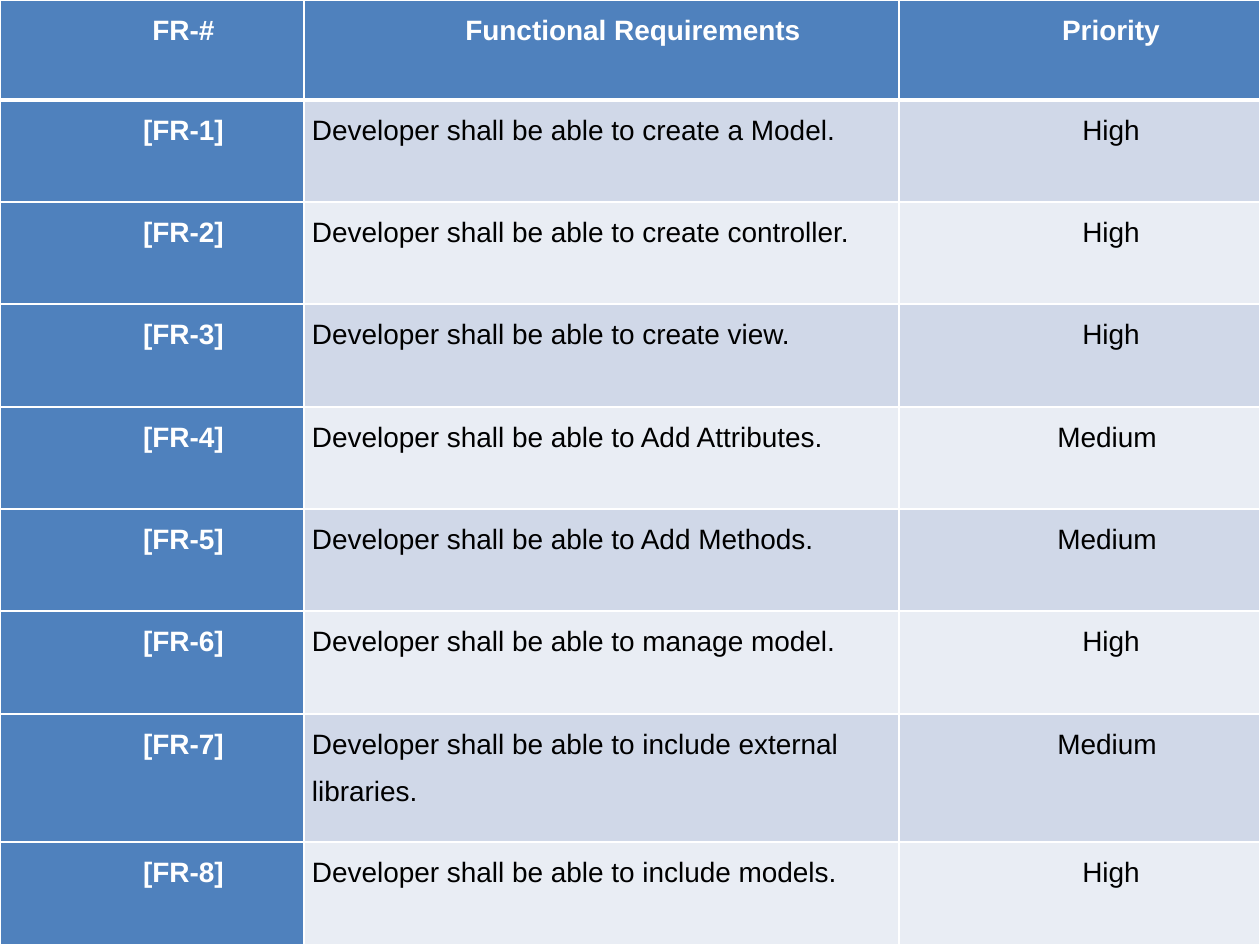
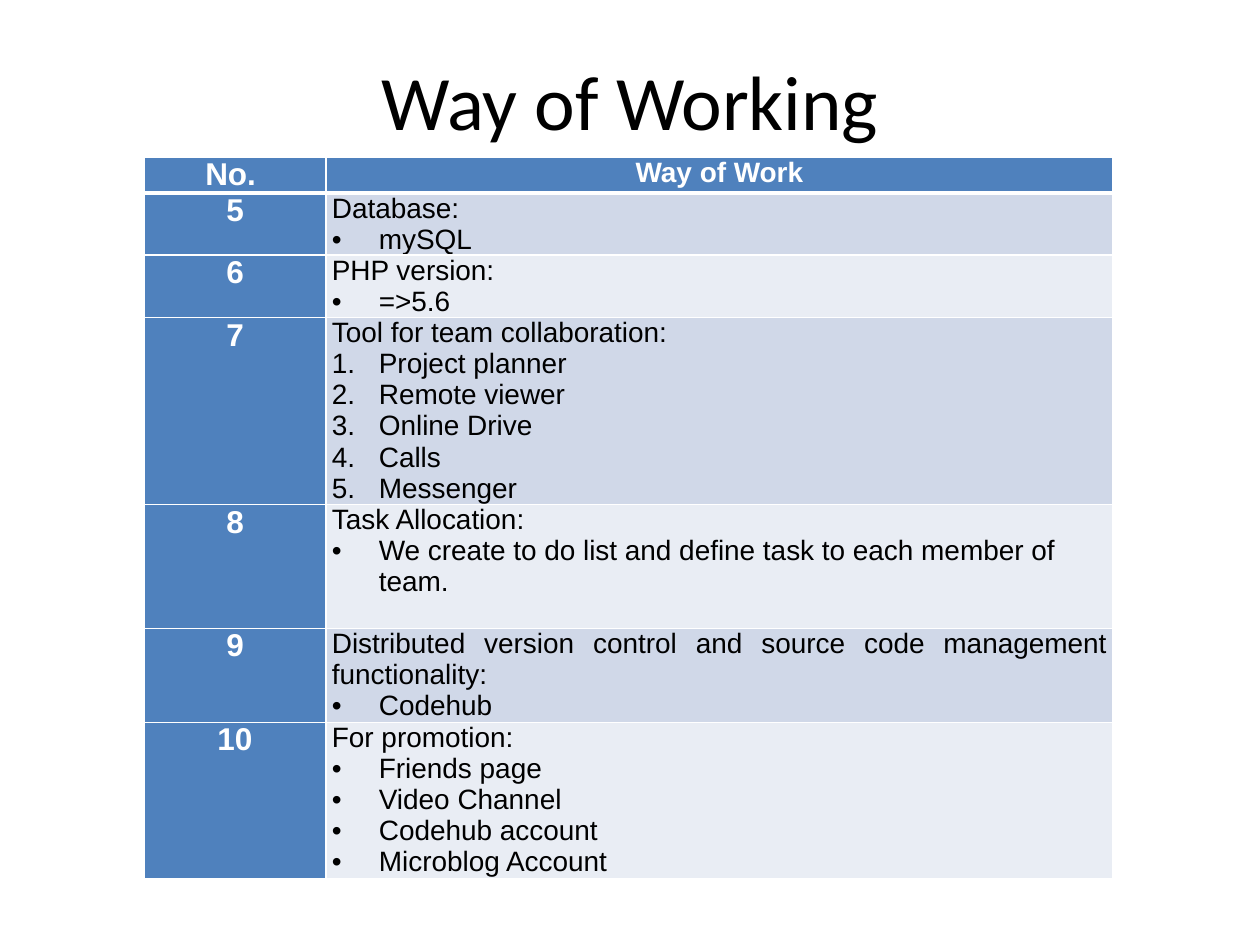
from lxml import etree
from pptx import Presentation
from pptx import util as u
from pptx.dml.color import RGBColor
from pptx.enum import text
from pptx.oxml import ns

# Shared style
PX = 914400 / 126
BLUE, BAND_DARK, BAND_LIGHT = "4F81BD", "D0D8E8", "E9EDF4"
WHITE, BLACK = "FFFFFF", "000000"
LEFT, CENTER, JUSTIFY = (text.PP_ALIGN.LEFT, text.PP_ALIGN.CENTER,
                         text.PP_ALIGN.JUSTIFY)
BULLET = ("buChar", {"char": "•"})
NUMBER = ("buAutoNum", {"type": "arabicPeriod"})

# Functional requirements: text, priority, row height
REQUIREMENT_HEADERS = ["FR-#", "Functional Requirements", "Priority"]
REQUIREMENTS = [
    ("create a Model.", "High", 102),
    ("create controller.", "High", 102),
    ("create view.", "High", 103),
    ("Add Attributes.", "Medium ", 102),
    ("Add Methods.", "Medium ", 102),
    ("manage model.", "High", 103),
    ("include external libraries.", "Medium ", 128),
    ("include models.", "High", 103),
]

# Way of working: heading, list marker, items, alignment, row height
WORK_TITLE = "Way of Working"
WORK_HEADERS = ["No. ", "Way of Work"]
FIRST_WORK_NUMBER = 5
WORK_ITEMS = [
    ("Database:", BULLET, ["mySQL"], LEFT, 62),
    ("PHP version:", BULLET, ["=>5.6"], LEFT, 62),
    ("Tool for team collaboration:", NUMBER,
     ["Project planner", "Remote viewer", "Online Drive", "Calls", "Messenger"],
     LEFT, 187),
    ("Task Allocation:", BULLET,
     ["We create to do list and define task to each member of team."], LEFT, 124),
    ("Distributed version control and source code management functionality:",
     BULLET, ["Codehub"], JUSTIFY, 94),
    ("For promotion:", BULLET,
     ["Friends page", "Video Channel", "Codehub account", "Microblog Account"],
     JUSTIFY, 156),
]


def px(length):
    return u.Emu(round(length * PX))


def color(value):
    return RGBColor.from_string(value)


def write(frame, lines, font="Arial", size=16, ink=BLACK, bold=False,
          align=LEFT, indent=0, spacing=None, marker=None):
    """Write lines of text; a marker turns every line after the first into a list."""
    for index, line in enumerate(lines):
        paragraph = frame.paragraphs[0] if index == 0 else frame.add_paragraph()
        properties = paragraph._p.get_or_add_pPr()
        if marker and index:
            properties.set("marL", str(px(47)))
            properties.set("indent", str(-px(47)))
            etree.SubElement(properties, ns.qn("a:buFont"), typeface="Arial")
            etree.SubElement(properties, ns.qn(f"a:{marker[0]}"), marker[1])
        elif indent:
            properties.set("marL", str(px(indent)))
            properties.set("indent", "0")
        paragraph.alignment = align
        if spacing:
            paragraph.line_spacing = spacing
        run = paragraph.add_run()
        run.text = line
        run.font.name, run.font.size, run.font.bold = font, u.Pt(size), bold
        run.font.color.rgb = color(ink)


def set_borders(cell, top, bottom):
    properties = cell._tc.get_or_add_tcPr()
    widths = {"lnL": 1, "lnR": 1, "lnT": top, "lnB": bottom}
    for index, (side, width) in enumerate(widths.items()):
        line = etree.Element(ns.qn(f"a:{side}"), w=str(u.Pt(width)))
        fill = etree.SubElement(line, ns.qn("a:solidFill"))
        etree.SubElement(fill, ns.qn("a:srgbClr"), val=WHITE)
        properties.insert(index, line)


def add_grid(slide, left, top, widths, heights, margin):
    """Add a table with a blue header row, a blue first column and banded rows."""
    table = slide.shapes.add_table(len(heights), len(widths), px(left), px(top),
                                   px(sum(widths)), px(sum(heights))).table
    for column, width in zip(table.columns, widths):
        column.width = px(width)
    for row_index, (row, height) in enumerate(zip(table.rows, heights)):
        row.height = px(height)
        band = BAND_DARK if row_index % 2 else BAND_LIGHT
        for column_index, cell in enumerate(row.cells):
            cell.margin_left = cell.margin_right = px(margin)
            cell.margin_top = cell.margin_bottom = 0
            cell.fill.solid()
            cell.fill.fore_color.rgb = color(
                BLUE if row_index == 0 or column_index == 0 else band)
            set_borders(cell, top=3 if row_index == 1 else 1,
                        bottom=3 if row_index == 0 else 1)
    return table


def build_requirements(presentation):
    slide = presentation.slides.add_slide(presentation.slide_layouts[6])
    heights = [100] + [height for _, _, height in REQUIREMENTS]
    table = add_grid(slide, 0, 0, [304, 595, 361], heights, margin=8)
    centered = dict(align=CENTER, indent=63, spacing=1.5)
    heading = dict(centered, ink=WHITE, bold=True)
    for column, header in enumerate(REQUIREMENT_HEADERS):
        write(table.cell(0, column).text_frame, [header], **heading)
    for row, (action, priority, _) in enumerate(REQUIREMENTS, 1):
        number, requirement, level = table.rows[row].cells
        write(number.text_frame, [f"[FR-{row}]"], **heading)
        write(requirement.text_frame, [f"Developer shall be able to {action}"],
              spacing=1.5)
        write(level.text_frame, [priority], **centered)


def build_way_of_working(presentation):
    slide = presentation.slides.add_slide(presentation.slide_layouts[5])
    title = slide.shapes.title
    title.left, title.top, title.width, title.height = map(px, (63, 21, 1134, 158))
    title.text_frame.vertical_anchor = text.MSO_ANCHOR.MIDDLE
    write(title.text_frame, [WORK_TITLE], font="Calibri", size=44, align=CENTER)

    heights = [36] + [item[-1] for item in WORK_ITEMS]
    table = add_grid(slide, 144, 157, [182, 787], heights, margin=6)
    heading = dict(ink=WHITE, bold=True, align=CENTER)
    for column, (header, size) in enumerate(zip(WORK_HEADERS, (18, 16))):
        write(table.cell(0, column).text_frame, [header], size=size, **heading)
    for row, (topic, marker, items, align, _) in enumerate(WORK_ITEMS, 1):
        number, work = table.rows[row].cells
        write(number.text_frame, [str(FIRST_WORK_NUMBER + row - 1)], size=18, **heading)
        write(work.text_frame, [topic, *items], align=align, marker=marker)


def main():
    presentation = Presentation()
    presentation.slide_width, presentation.slide_height = px(1260), px(945)
    build_requirements(presentation)
    build_way_of_working(presentation)
    presentation.save("out.pptx")


if __name__ == "__main__":
    main()
